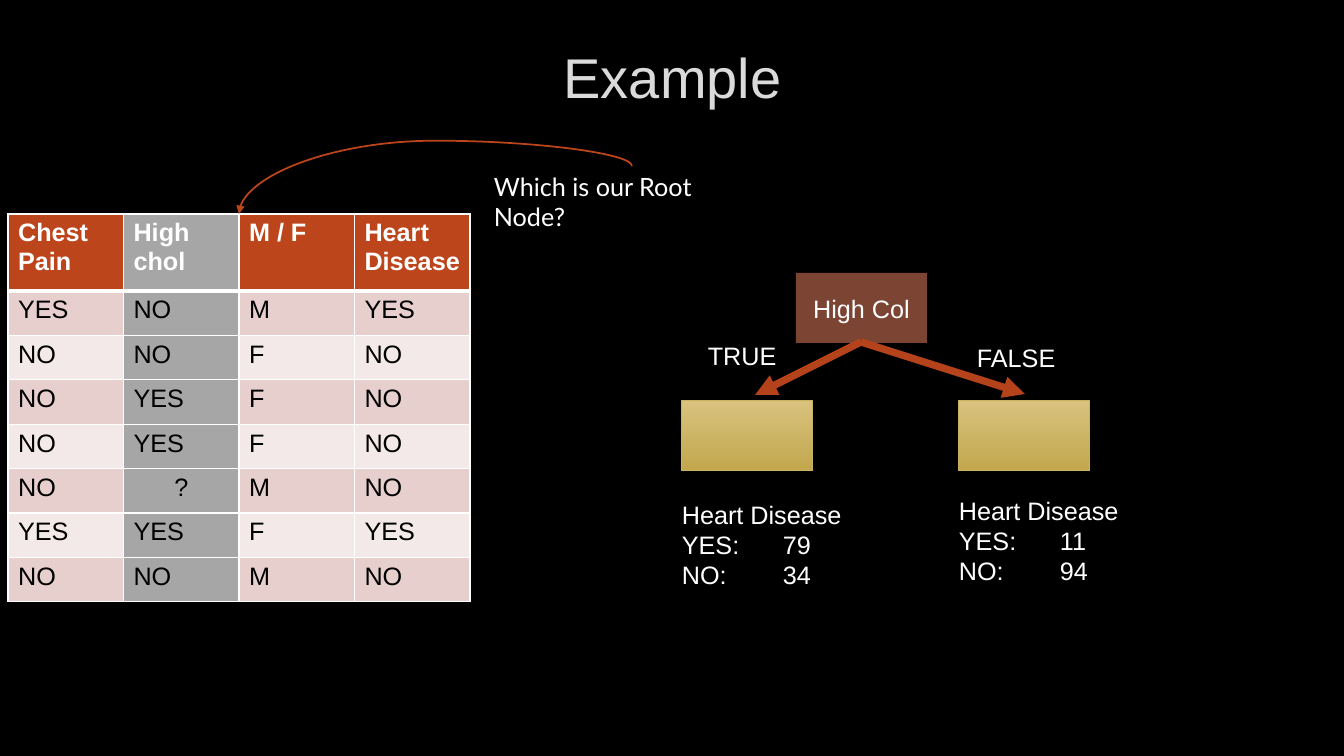
import pptx
import pptx.dml.color
import pptx.enum.shapes
import pptx.enum.text
import pptx.oxml
import pptx.oxml.ns
import pptx.util

EMU_PER_PIXEL = 914400 / 100.8
WHITE, BLACK, RUST, GRAY, ARROW = "FFFFFF", "000000", "BC451B", "A6A6A6", "B4421A"
BANDS = ("E7CFCD", "F3E9E8")
CENTER = pptx.enum.text.PP_ALIGN.CENTER
CONNECTOR = pptx.enum.shapes.MSO_CONNECTOR
PATIENTS = [
    ("Chest Pain", "High chol", "M / F", "Heart Disease"),
    ("YES", "NO", "M", "YES"),
    ("NO", "NO", "F", "NO"),
    ("NO", "YES", "F", "NO"),
    ("NO", "YES", "F", "NO"),
    ("NO", "?", "M", "NO"),
    ("YES", "YES", "F", "YES"),
    ("NO", "NO", "M", "NO"),
]


def px(pixels):
    """Turn pixels into EMU."""
    return pptx.util.Emu(round(pixels * EMU_PER_PIXEL))


def rgb(color):
    """Turn a hex string into a colour."""
    return pptx.dml.color.RGBColor.from_string(color)


def add_xml(parent, tag, **attributes):
    """Append a DrawingML child element and return it."""
    child = pptx.oxml.ns.qn(tag)
    element = parent.makeelement(child, attributes)
    parent.append(element)
    return element


def style_text(text_frame, color, size=18, font="Arial", bold=False, align=None):
    """Give every paragraph one font and alignment."""
    for paragraph in text_frame.paragraphs:
        paragraph.font.name = font
        paragraph.font.size = pptx.util.Pt(size)
        paragraph.font.bold = bold
        paragraph.font.color.rgb = rgb(color)
        paragraph.alignment = align


def add_text(slide, box, text, color=WHITE, wrap=True, **style):
    """Add a text box and return its text frame."""
    text_frame = slide.shapes.add_textbox(*map(px, box)).text_frame
    text_frame.word_wrap = wrap
    text_frame.text = text
    style_text(text_frame, color, **style)
    return text_frame


def add_title(slide, box):
    """Add the centred slide title."""
    text_frame = add_text(slide, box, "Example", "DADADA", size=40, align=CENTER)
    text_frame.vertical_anchor = pptx.enum.text.MSO_ANCHOR.MIDDLE


def set_borders(cell, **widths):
    """Draw white cell borders; widths in points by side, 1 by default."""
    properties = cell._tc.get_or_add_tcPr()
    for side in "LRTB":
        width = pptx.util.Pt(widths.get(side, 1))
        line = add_xml(properties, f"a:ln{side}", w=str(int(width)))
        add_xml(add_xml(line, "a:solidFill"), "a:srgbClr", val=WHITE)


def add_patient_table(slide, box, header_height=77):
    """Add the banded patient table with its cholesterol column in gray."""
    row_count, column_count = len(PATIENTS), len(PATIENTS[0])
    table = slide.shapes.add_table(row_count, column_count, *map(px, box)).table
    for column in table.columns:
        column.width = px(box[2] / column_count)
    for row_index, values in enumerate(PATIENTS):
        is_header = row_index == 0
        body_height = (box[3] - header_height) / (row_count - 1)
        table.rows[row_index].height = px(header_height if is_header else body_height)
        band = RUST if is_header else BANDS[(row_index - 1) % 2]
        rule = {0: {"B": 3}, 1: {"T": 3}}.get(row_index, {})
        for column_index, value in enumerate(values):
            cell = table.cell(row_index, column_index)
            cell.text = value
            style_text(cell.text_frame, WHITE if is_header else BLACK,
                       bold=is_header, align=CENTER if value == "?" else None)
            set_borders(cell, **rule)
            cell.fill.solid()
            cell.fill.fore_color.rgb = rgb(GRAY if column_index == 1 else band)


def add_arrow(slide, kind, start, end, color, width):
    """Add a connector with a triangle head at its end."""
    connector = slide.shapes.add_connector(kind, *map(px, start + end))
    connector.line.color.rgb = rgb(color)
    connector.line.width = pptx.util.Pt(width)
    add_xml(connector.line._get_or_add_ln(), "a:tailEnd", type="triangle")
    add_xml(connector._element.spPr, "a:effectLst")
    return connector


def add_question(slide, box):
    """Add the root node question and its curved arrow to the table."""
    left, top, width, height = box
    add_text(slide, (left + 245, top + 26, 295, 40), "Which is our Root Node?",
             font="Lato", wrap=False)
    start, end = (left + 393, top + 26), (left, top + 74)
    middle_x, middle_y = (start[0] + end[0]) / 2, (start[1] + end[1]) / 2
    half_drop, half_run = (end[1] - start[1]) / 2, (start[0] - end[0]) / 2
    # The curve leaves vertically, so its frame is laid out turned by 270 degrees.
    curve = add_arrow(slide, CONNECTOR.CURVE,
                      (middle_x + half_drop, middle_y + half_run),
                      (middle_x - half_drop, middle_y - half_run), RUST, 1.25)
    properties = curve._element.spPr
    properties.find(pptx.oxml.ns.qn("a:xfrm")).set("rot", str(270 * 60000))
    adjustments = properties.find(".//" + pptx.oxml.ns.qn("a:avLst"))
    add_xml(adjustments, "a:gd", name="adj1", fmla="val -52600")


def add_node(slide, box):
    """Add a plain tree node and return it."""
    node = slide.shapes.add_shape(pptx.enum.shapes.MSO_SHAPE.RECTANGLE, *map(px, box))
    node.shadow.inherit = False
    return node


def add_root(slide, box):
    """Add the labelled root node."""
    root = add_node(slide, box)
    root.fill.solid()
    root.fill.fore_color.rgb = rgb("7C4432")
    root.line.fill.background()
    root.text_frame.text = "High Col"
    root.text_frame.margin_left = root.text_frame.margin_right = px(4)
    style_text(root.text_frame, WHITE, align=CENTER)


def add_leaf(slide, box, yes_count, no_count, counts_top):
    """Add a gold leaf node and the heart disease counts below it."""
    leaf = add_node(slide, box)
    leaf.fill.gradient()
    leaf.fill.gradient_angle = 270
    for stop, color in zip(leaf.fill.gradient_stops, ("D8C27E", "C2A74D")):
        stop.color.rgb = rgb(color)
    leaf.line.color.rgb = rgb("CAB263")
    leaf.line.width = pptx.util.Pt(0.75)
    counts = add_text(slide, (box[0] - 10, counts_top, 184, 102),
                      f"Heart Disease\nYES:\t{yes_count}\nNO:\t{no_count}")
    for paragraph in counts.paragraphs:
        tabs = add_xml(paragraph._p.get_or_add_pPr(), "a:tabLst")
        add_xml(tabs, "a:tab", pos=str(px(101)), algn="l")
        paragraph._p.pPr.insert(0, tabs)


def add_tree(slide, box):
    """Add the root, its two branches and their leaves."""
    left, top, width, height = box
    node_width, node_height = 131, 70
    root_left = left + 114
    add_root(slide, (root_left, top, node_width, node_height))
    start = (root_left + node_width // 2, top + 69)
    branches = [
        ("TRUE", (left + 16, top + 62), (left + 73, top + 122), left, 79, 34, top + 221),
        ("FALSE", (left + 285, top + 64), (left + 343, top + 121),
         left + width - node_width, 11, 94, top + 217),
    ]
    for label, label_at, end, leaf_left, yes_count, no_count, counts_top in branches:
        add_arrow(slide, CONNECTOR.STRAIGHT, start, end, ARROW, 5.25)
        add_text(slide, label_at + (184, 40), label)
        add_leaf(slide, (leaf_left, top + 128, node_width, node_height),
                 yes_count, no_count, counts_top)


def main():
    """Build and save the slide."""
    presentation = pptx.Presentation()
    presentation.slide_width, presentation.slide_height = px(1344), px(756)
    slide = presentation.slides.add_slide(presentation.slide_layouts[6])
    slide.background.fill.solid()
    slide.background.fill.fore_color.rgb = rgb(BLACK)
    add_title(slide, (102, 23, 1141, 107))
    add_patient_table(slide, (8, 214, 462, 388))
    add_question(slide, (239, 140, 540, 74))
    add_tree(slide, (682, 273, 408, 323))
    presentation.save("out.pptx")


main()
